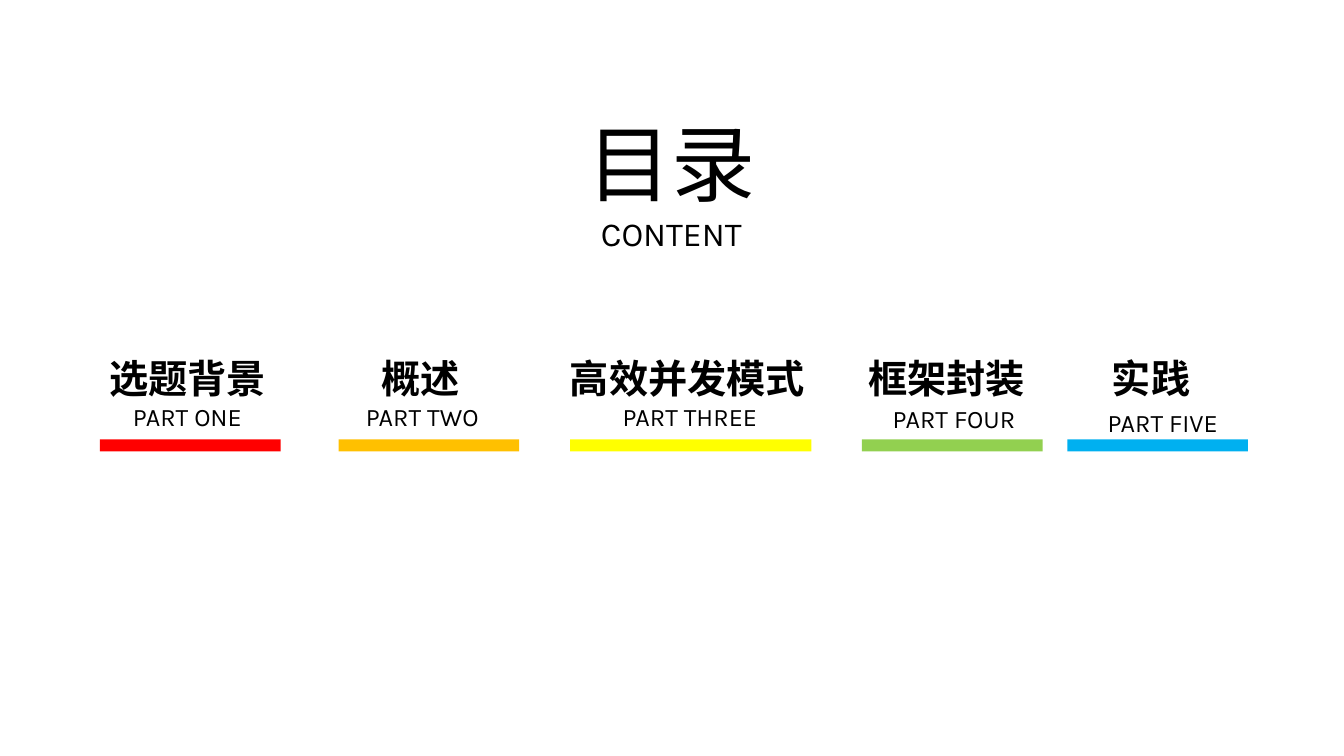
from collections import namedtuple

from pptx import Presentation
from pptx.dml.color import RGBColor
from pptx.enum import shapes, text
from pptx.util import Pt

FONT = "Karla"
BLACK = "000000"
PARTS_TOP = 239.8

# Horizontal measures in points; caption_drop lowers the English line.
Part = namedtuple("Part", "heading caption color left width bar_left bar_width "
                          "caption_left caption_width caption_drop")
PARTS = [
    Part("选题背景", "PART ONE", "FF0000", 64.8, 138.2, 71.4, 129, 76.3, 115.2, 0),
    Part("概述", "PART TWO", "FFC000", 231.1, 138.2, 241.9, 129, 239, 125.3, 0),
    Part("高效并发模式", "PART THREE", "FFFF00", 397.4, 187.2, 407.3, 172.3, 425.5, 134.6, 0),
    Part("框架封装", "PART FOUR", "92D050", 607, 138.2, 615.7, 129, 616.3, 130.3, 1.4),
    Part("实践", "PART FIVE", "00B0F0", 753.1, 138.2, 762.4, 129, 762.5, 136.1, 4.3),
]


def rgb(hex_color):
    return RGBColor.from_string(hex_color)


def write(paragraph, words, size, bold=False, color=BLACK, spacing=1.0):
    paragraph.alignment = text.PP_ALIGN.CENTER
    paragraph.line_spacing = spacing
    run = paragraph.add_run()
    run.text = words
    run.font.name = FONT
    run.font.size = Pt(size)
    run.font.bold = bold
    run.font.color.rgb = rgb(color)


def add_label(slide, words, left, top, width, height, **text_format):
    label = slide.shapes.add_textbox(Pt(left), Pt(top), Pt(width), Pt(height))
    frame = label.text_frame
    frame.word_wrap = True
    frame.auto_size = text.MSO_AUTO_SIZE.SHAPE_TO_FIT_TEXT
    write(frame.paragraphs[0], words, spacing=1.3, **text_format)


def add_heading(slide, left, top, width, height):
    title = slide.shapes.title
    title.left, title.top = Pt(left), Pt(top)
    title.width, title.height = Pt(width), Pt(height)
    frame = title.text_frame
    frame.word_wrap = False
    frame.auto_size = text.MSO_AUTO_SIZE.SHAPE_TO_FIT_TEXT
    frame.vertical_anchor = text.MSO_ANCHOR.TOP
    write(frame.paragraphs[0], "目录", size=60)
    write(frame.add_paragraph(), "CONTENT", size=24)


def add_part(slide, part, top):
    """Stack the heading, its English caption and the colour bar from top."""
    add_label(slide, part.heading, part.left, top, part.width, 46.8,
              size=28, bold=True)
    add_label(slide, part.caption, part.caption_left,
              top + 36.7 + part.caption_drop, part.caption_width, 35.3, size=18)
    bar = slide.shapes.add_shape(
        shapes.MSO_SHAPE.RECTANGLE, Pt(part.bar_left), Pt(top + 74.1),
        Pt(part.bar_width), Pt(8.6))
    bar.shadow.inherit = False
    bar.fill.solid()
    bar.fill.fore_color.rgb = rgb(part.color)
    bar.line.fill.background()


def main():
    deck = Presentation()
    deck.slide_width, deck.slide_height = Pt(960), Pt(540)
    slide = deck.slides.add_slide(deck.slide_layouts[5])
    add_heading(slide, 411.8, 76.3, 135.4, 108.7)
    for part in PARTS:
        add_part(slide, part, PARTS_TOP)
    deck.save("out.pptx")


if __name__ == "__main__":
    main()
